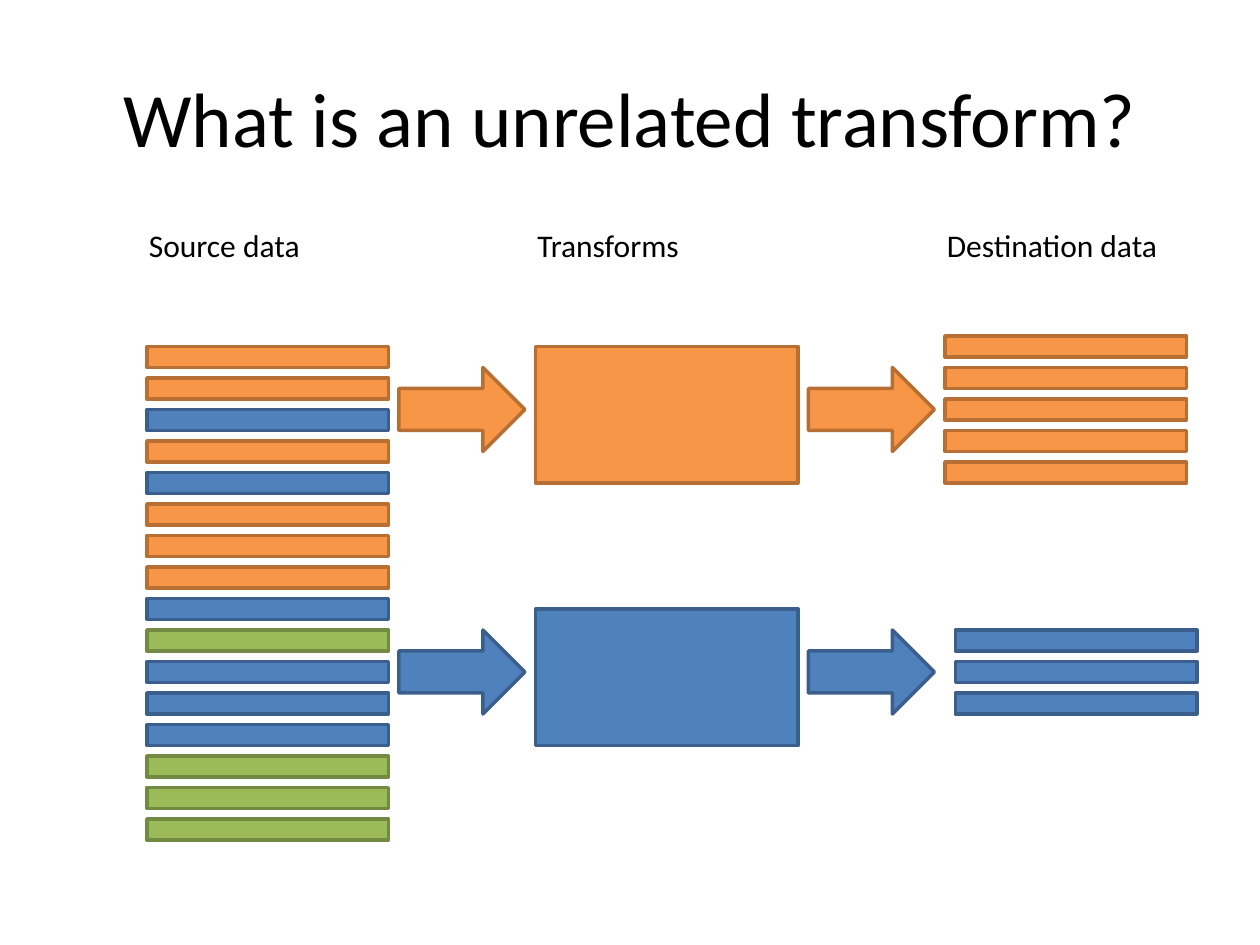
from dataclasses import dataclass

from pptx import Presentation
from pptx.dml.color import RGBColor
from pptx.enum.shapes import MSO_SHAPE
from pptx.enum.text import MSO_ANCHOR, MSO_AUTO_SIZE, PP_ALIGN
from pptx.slide import Slide
from pptx.text.text import TextFrame
from pptx.util import Pt

EMU_PER_PX = 9525
BLACK = RGBColor(0x00, 0x00, 0x00)
BAR_WIDTH, BAR_HEIGHT, BAR_STEP = 184, 16, 24
BOX_LEFT, BOX_WIDTH, BOX_HEIGHT = 408, 200, 104
ARROW_LEFTS, ARROW_WIDTH, ARROW_HEIGHT = (304, 616), 96, 64


@dataclass(frozen=True)
class Palette:
    """Fill and outline of one kind of data."""

    fill: RGBColor
    line: RGBColor


@dataclass(frozen=True)
class Stack:
    """A column of record bars, one palette for each bar."""

    left: int
    top: int
    palettes: tuple[Palette, ...]


@dataclass(frozen=True)
class Transform:
    """A transform box with the arrows into and out of it."""

    top: int
    palette: Palette


@dataclass(frozen=True)
class Heading:
    """A column heading."""

    text: str
    left: int
    width: int


ORANGE = Palette(RGBColor(0xF7, 0x96, 0x46), RGBColor(0xB7, 0x6F, 0x34))
BLUE = Palette(RGBColor(0x4F, 0x81, 0xBD), RGBColor(0x3A, 0x5F, 0x8C))
GREEN = Palette(RGBColor(0x9B, 0xBB, 0x59), RGBColor(0x73, 0x8A, 0x42))
PALETTES = {"O": ORANGE, "B": BLUE, "G": GREEN}

STACKS = (
    Stack(112, 264, tuple(PALETTES[key] for key in "OOBOBOOOBGBBBGGG")),
    Stack(720, 256, (ORANGE,) * 5),
    Stack(728, 480, (BLUE,) * 3),
)
TRANSFORMS = (Transform(264, ORANGE), Transform(464, BLUE))
HEADINGS = (
    Heading("Source data", 104, 135),
    Heading("Transforms", 400, 128),
    Heading("Destination data", 712, 181),
)


def px(length: int) -> int:
    """Turn px into EMU."""
    return length * EMU_PER_PX


def apply_format(target: object, values: dict[str, object]) -> None:
    """Set each named attribute on the target."""
    for name, value in values.items():
        setattr(target, name, value)


def write_text(frame: TextFrame, text: str, size: int, alignment: PP_ALIGN) -> None:
    """Write one formatted paragraph."""
    paragraph = frame.paragraphs[0]
    paragraph.text = text
    paragraph.alignment = alignment
    apply_format(paragraph.font, {"name": "Calibri", "size": Pt(size)})
    paragraph.font.color.rgb = BLACK


def draw_shape(
    slide: Slide, kind: MSO_SHAPE, left: int, top: int, width: int, height: int, palette: Palette
) -> None:
    """Draw a filled and outlined preset shape."""
    shape = slide.shapes.add_shape(kind, px(left), px(top), px(width), px(height))
    shape.shadow.inherit = False
    shape.fill.solid()
    shape.fill.fore_color.rgb = palette.fill
    shape.line.color.rgb = palette.line
    shape.line.width = Pt(2)


def draw_stack(slide: Slide, stack: Stack) -> None:
    """Draw the bars of a stack at equal steps."""
    for row, palette in enumerate(stack.palettes):
        top = stack.top + row * BAR_STEP
        draw_shape(slide, MSO_SHAPE.RECTANGLE, stack.left, top, BAR_WIDTH, BAR_HEIGHT, palette)


def draw_transform(slide: Slide, transform: Transform) -> None:
    """Draw a transform box and its two arrows."""
    draw_shape(
        slide, MSO_SHAPE.RECTANGLE, BOX_LEFT, transform.top, BOX_WIDTH, BOX_HEIGHT, transform.palette
    )
    for left in ARROW_LEFTS:
        draw_shape(
            slide, MSO_SHAPE.RIGHT_ARROW, left, transform.top + 16,
            ARROW_WIDTH, ARROW_HEIGHT, transform.palette,
        )


def draw_heading(slide: Slide, heading: Heading) -> None:
    """Draw a column heading."""
    box = slide.shapes.add_textbox(px(heading.left), px(168), px(heading.width), px(38))
    apply_format(
        box.text_frame,
        {
            "word_wrap": False,
            "auto_size": MSO_AUTO_SIZE.SHAPE_TO_FIT_TEXT,
            "vertical_anchor": MSO_ANCHOR.BOTTOM,
        },
    )
    write_text(box.text_frame, heading.text, 18, PP_ALIGN.LEFT)


def draw_title(slide: Slide) -> None:
    """Place and format the slide title."""
    title = slide.shapes.title
    apply_format(title, {"left": px(48), "top": px(29), "width": px(864), "height": px(120)})
    title.text_frame.vertical_anchor = MSO_ANCHOR.MIDDLE
    write_text(title.text_frame, "What is an unrelated transform?", 44, PP_ALIGN.CENTER)


def main() -> None:
    """Build and save the slide."""
    presentation = Presentation()
    apply_format(presentation, {"slide_width": px(960), "slide_height": px(720)})
    slide = presentation.slides.add_slide(presentation.slide_layouts[5])
    draw_title(slide)
    for stack in STACKS:
        draw_stack(slide, stack)
    for transform in TRANSFORMS:
        draw_transform(slide, transform)
    for heading in HEADINGS:
        draw_heading(slide, heading)
    presentation.save("out.pptx")


if __name__ == "__main__":
    main()
